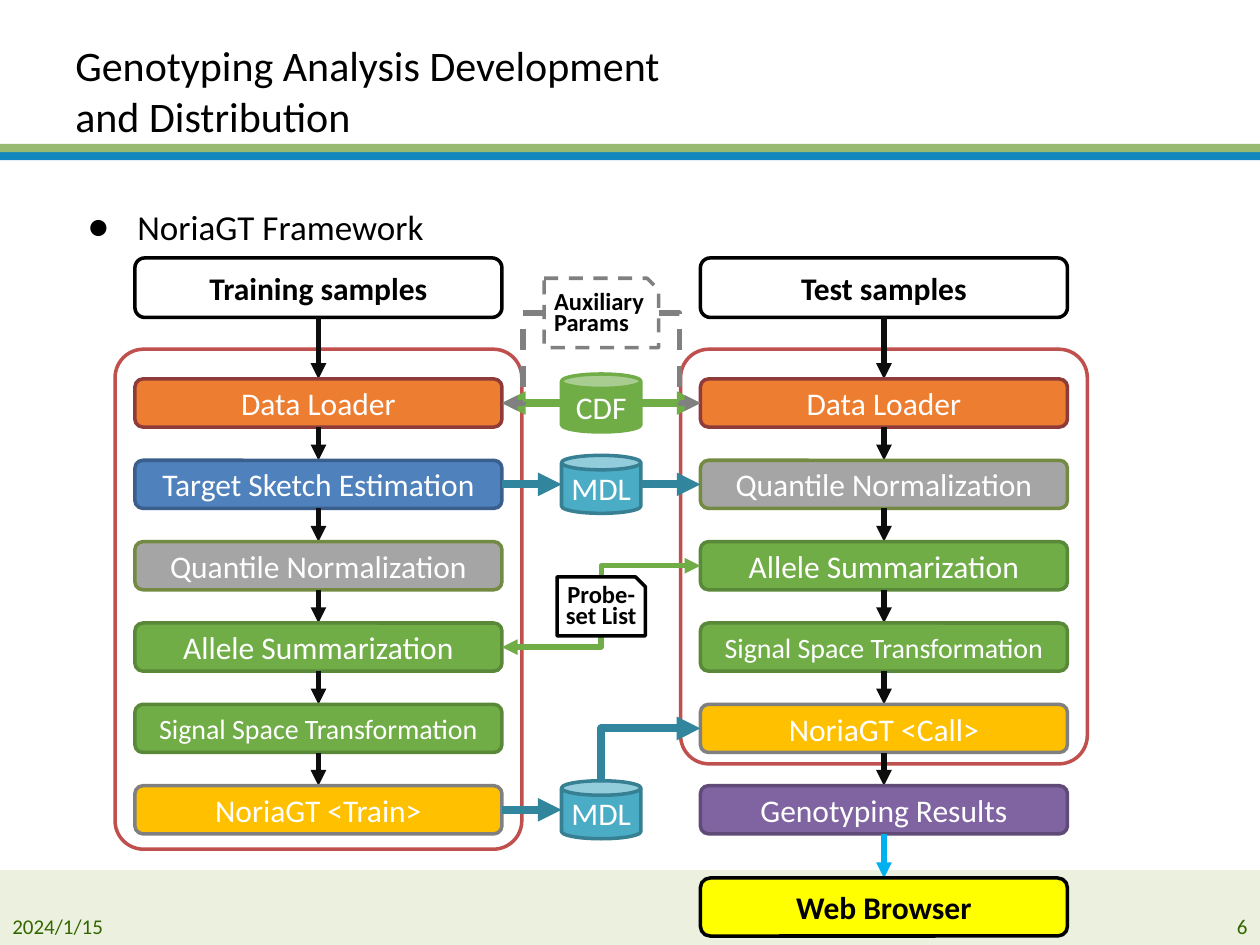
from lxml import etree
from pptx import Presentation
from pptx.dml.color import RGBColor
from pptx.enum.dml import MSO_LINE
from pptx.enum.shapes import MSO_CONNECTOR, MSO_SHAPE
from pptx.enum.text import MSO_ANCHOR, PP_ALIGN
from pptx.oxml.ns import qn
from pptx.util import Cm, Pt

RECT, ROUND = MSO_SHAPE.RECTANGLE, MSO_SHAPE.ROUNDED_RECTANGLE
CAN, SNIP = MSO_SHAPE.CAN, MSO_SHAPE.SNIP_1_RECTANGLE
LINE, ELBOW = MSO_CONNECTOR.STRAIGHT, MSO_CONNECTOR.ELBOW
LEFT, MID, RIGHT = PP_ALIGN.LEFT, PP_ALIGN.CENTER, PP_ALIGN.RIGHT
DASH, MIDDLE = MSO_LINE.DASH, MSO_ANCHOR.MIDDLE

THEME = {
    "font": "Calibri",
    "size": {"title": 24, "body": 20, "box": 18, "small": 16, "note": 14, "foot": 12},
    "ink": {"black": "000000", "white": "FFFFFF", "foot": "336600", "step": "0D0D0D",
            "model": "31859C", "green": "70AD47", "gray": "808080", "web": "00B0F0",
            "frame": "C0504D", "blue": "1187BE", "leaf": "97B970", "pale": "EBF1DE"},
    "box": {"head": ("FFFFFF", "000000"), "load": ("ED7D31", "8E3B39"),
            "sketch": ("4F81BD", "3A5F8C"), "norm": ("A5A5A5", "738A42"),
            "allele": ("70AD47", "588838"), "call": ("FFC000", "808080"),
            "result": ("8064A2", "5F4A78"), "web": ("FFFF00", "000000"),
            "model": ("4BACC6", "377F92"), "cdf": ("70AD47", "70AD47"),
            "aux": ("FFFFFF", "808080")},
}
INK, SIZE, BOX = THEME["ink"], THEME["size"], THEME["box"]

TITLE = "Genotyping Analysis Development and Distribution"
TOPIC = "NoriaGT Framework"
DATE, PAGE = "2024/1/15", "6"
BANDS = [(3.07, 0.16, "blue"), (2.9, 0.17, "leaf"), (17.54, 1.51, "pale")]
LOAD = ("Data Loader", "load", "box")
NORM = ("Quantile Normalization", "norm", "box")
ALLELE = ("Allele Summarization", "allele", "box")
SIGNAL = ("Signal Space Transformation", "allele", "small")
TRAIN = [LOAD, ("Target Sketch Estimation", "sketch", "box"), NORM, ALLELE, SIGNAL,
         ("NoriaGT <Train>", "call", "box")]
TEST = [LOAD, NORM, ALLELE, SIGNAL, ("NoriaGT <Call>", "call", "box"),
        ("Genotyping Results", "result", "box")]
FLOWS = [("Training samples", TRAIN, 2.72, 10.08), ("Test samples", TEST, 14.12, 8.36)]
CANS = [("CDF", "cdf", 0), ("MDL", "model", 1), ("MDL", "model", 5)]

WIDE, TALL, TOP, STEP = 7.4, 0.97, 7.64, 1.64
HEAD_Y, HEAD_H, WEB_Y, WEB_H = 5.2, 1.2, 17.7, 1.17
CAN_W, CAN_H = 1.6, 1.17
FRAME_Y, FRAME_PAD = 7.04, 0.4
AUX = (10.97, 5.61, 2.31, 1.4)
PROBE = (11.23, 11.63, 1.78, 1.19)
GAP_L, GAP_R = FLOWS[0][2] + WIDE, FLOWS[1][2]
GAP_MID = (GAP_L + GAP_R) / 2
CAN_L, CAN_R = GAP_MID - CAN_W / 2, GAP_MID + CAN_W / 2


def top(row):
    """Give the top of a step row."""
    return TOP + row * STEP


def mid(row):
    """Give the middle of a step row."""
    return top(row) + TALL / 2


def write(shape, text, size, ink, align=MID, bold=False, pad=(0.25, 0.13, 0.25, 0.13), lead=None):
    """Put styled text in a shape."""
    frame = shape.text_frame
    frame.word_wrap, frame.vertical_anchor = True, MIDDLE
    (frame.margin_left, frame.margin_top,
     frame.margin_right, frame.margin_bottom) = (Cm(n) for n in pad)
    frame.text = text
    for para in frame.paragraphs:
        para.alignment = align
        if lead:
            para.line_spacing = Pt(lead)
        for run in para.runs:
            font = run.font
            font.name, font.size, font.bold = THEME["font"], Pt(SIZE[size]), bold
            font.color.rgb = RGBColor.from_string(INK[ink])


def draw(slide, kind, area, fill, edge=None, dash=None):
    """Add a filled shape."""
    shape = slide.shapes.add_shape(kind, *(Cm(n) for n in area))
    shape.shadow.inherit = False
    shape.fill.solid()
    shape.fill.fore_color.rgb = RGBColor.from_string(fill)
    if edge:
        shape.line.color.rgb = RGBColor.from_string(edge)
        shape.line.width = Pt(2)
        shape.line.dash_style = dash
    else:
        shape.line.fill.background()
    return shape


def label(slide, area, *args, **style):
    """Add a text box."""
    shape = slide.shapes.add_textbox(*(Cm(n) for n in area))
    write(shape, *args, **style)
    return shape


def arrow(slide, start, end, ink, width=3, kind=LINE, bend=None, dash=None):
    """Add a connector with a triangle head."""
    link = slide.shapes.add_connector(kind, *(Cm(n) for n in start + end))
    link.line.color.rgb = RGBColor.from_string(INK[ink])
    link.line.width = Pt(width)
    link.line.dash_style = dash
    props = link._element.spPr
    etree.SubElement(props.find(qn("a:ln")), qn("a:tailEnd"), type="triangle")
    etree.SubElement(props, qn("a:effectLst"))
    if bend is not None:
        guides = props.find(qn("a:prstGeom")).find(qn("a:avLst"))
        etree.SubElement(guides, qn("a:gd"), name="adj1", fmla=f"val {bend}")


def flow(slide, head, steps, left):
    """Draw one column of steps and its arrows."""
    axis = left + WIDE / 2
    write(draw(slide, ROUND, (left, HEAD_Y, WIDE, HEAD_H), *BOX["head"]),
          head, "box", "black", bold=True)
    foot = HEAD_Y + HEAD_H
    for row, (text, look, size) in enumerate(steps):
        arrow(slide, (axis, foot), (axis, top(row)), "step")
        write(draw(slide, ROUND, (left, top(row), WIDE, TALL), *BOX[look]), text, size, "white")
        foot = top(row) + TALL


def middle(slide):
    """Draw the shared data between the columns."""
    for text, look, row in CANS:
        area = (CAN_L, mid(row) - CAN_H / 2, CAN_W, CAN_H)
        write(draw(slide, CAN, area, *BOX[look]), text, "box", "white", pad=(0.1, 0.13, 0.1, 0.13))
    for start, end, row, ink in [(CAN_L, GAP_L, 0, "green"), (CAN_R, GAP_R, 0, "green"),
                                 (GAP_L, CAN_L, 1, "model"), (CAN_R, GAP_R, 1, "model"),
                                 (GAP_L, CAN_L, 5, "model")]:
        arrow(slide, (start, mid(row)), (end, mid(row)), ink, 4.5)
    arrow(slide, (GAP_MID, mid(5) - CAN_H / 2), (GAP_R, mid(4)), "model", 4.5, ELBOW, 0)
    arrow(slide, (GAP_MID, PROBE[1] + PROBE[3]), (GAP_L, mid(3)), "green", 3, ELBOW, 0)
    arrow(slide, (GAP_MID, PROBE[1]), (GAP_R, mid(2)), "green", 3, ELBOW, 0)
    for start, end in [(AUX[0], GAP_L), (AUX[0] + AUX[2], GAP_R)]:
        arrow(slide, (start, AUX[1] + AUX[3] / 2), (end, mid(0)), "gray", 3, ELBOW, dash=DASH)
    write(draw(slide, SNIP, AUX, *BOX["aux"], dash=DASH), "Auxiliary\nParams", "note", "black",
          LEFT, True, (0.2, 0, 0, 0), 12)
    write(draw(slide, SNIP, PROBE, *BOX["head"]), "Probe-set List", "note", "black",
          MID, True, (0.1, 0, 0, 0), 12)


def main():
    """Build the slide and save it."""
    deck = Presentation()
    deck.slide_width, deck.slide_height = Cm(25.4), Cm(19.05)
    slide = deck.slides.add_slide(deck.slide_layouts[6])
    for y, tall, ink in BANDS:
        draw(slide, RECT, (0, y, 25.4, tall), INK[ink])
    label(slide, (1.27, 0.64, 13.39, 2.36), TITLE, "title", "black", align=LEFT)
    label(slide, (0, 18.29, 2.69, 0.76), DATE, "foot", "foot", align=LEFT)
    label(slide, (24.13, 18.29, 1.27, 0.76), PAGE, "foot", "foot", align=RIGHT)
    topic = label(slide, (1.52, 3.99, 23.67, 1.15), TOPIC, "body", "black", align=LEFT)
    props = topic.text_frame.paragraphs[0]._p.get_or_add_pPr()
    props.set("marL", str(Cm(1)))
    props.set("indent", str(-Cm(1)))
    etree.SubElement(props, qn("a:buFont"), typeface=THEME["font"])
    etree.SubElement(props, qn("a:buChar"), char="●")
    for _, _, left, tall in FLOWS:
        area = (left - FRAME_PAD, FRAME_Y, WIDE + 2 * FRAME_PAD, tall)
        draw(slide, ROUND, area, INK["white"], INK["frame"]).adjustments[0] = 0.07
    for head, steps, left, _ in FLOWS:
        flow(slide, head, steps, left)
    axis = GAP_R + WIDE / 2
    arrow(slide, (axis, top(5) + TALL), (axis, WEB_Y), "web")
    write(draw(slide, ROUND, (GAP_R, WEB_Y, WIDE, WEB_H), *BOX["web"]),
          "Web Browser", "box", "black", bold=True)
    middle(slide)
    deck.save("out.pptx")


if __name__ == "__main__":
    main()
